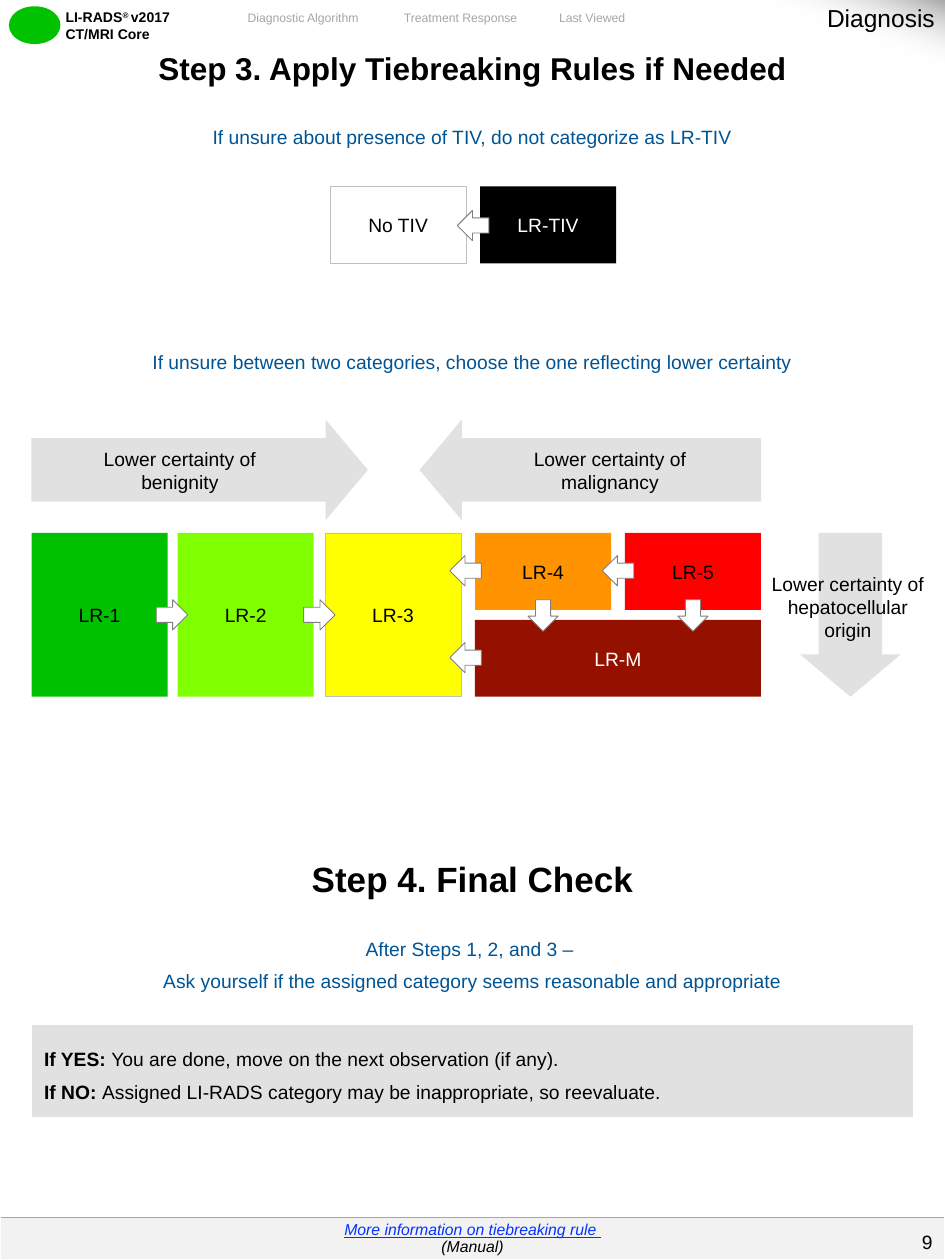
"""Build the tiebreaking-rules and final-check page of the LI-RADS core guide."""
from lxml import etree
from pptx import Presentation
from pptx.dml.color import RGBColor
from pptx.enum import shapes as sh, text as tx
from pptx.oxml.ns import qn
from pptx.util import Inches, Pt

THEME = dict(
    font="Arial", black="000000", white="FFFFFF", blue="005493", link="0432FF",
    grey="E1E1E1", footer="F2F2F2", muted="A6A6A6", edge="BFBFBF", outline="808080", logo="00C200",
    nav=7, brand=8, note=9, body=11, section=14, step=18, final=20,
)
T = THEME
LEFT, CENTER, RIGHT = tx.PP_ALIGN.LEFT, tx.PP_ALIGN.CENTER, tx.PP_ALIGN.RIGHT
TOP, MIDDLE = tx.MSO_ANCHOR.TOP, tx.MSO_ANCHOR.MIDDLE
SHAPE = sh.MSO_SHAPE

SECTION = "Diagnosis"
BRAND = [[("LI-RADS", True), ("® ", True), ("v2017", True)], [("CT/MRI Core", True)]]
NAV = [
    ("Diagnostic Algorithm", 1.83, 1.15),
    ("Treatment Response", 3.08, 1.15),
    ("Last Viewed", 4.32, 0.76),
]
STEPS = [
    dict(height=0.45, paragraphs=["Step 3. Apply Tiebreaking Rules if Needed"], size=T["step"],
         bold=True, margins=(0.1, 0, 0.1, 0.15)),
    dict(height=5.19, paragraphs=["If unsure about presence of TIV, do not categorize as LR-TIV",
         "If unsure between two categories, choose the one reflecting lower certainty"],
         color=T["blue"], spacing=1.5, gap=110, margins=(0, 0, 0, 3)),
    dict(height=1.33, paragraphs=["Step 4. Final Check"], size=T["final"], bold=True,
         anchor=TOP, margins=(0, 0.79, 0, 0.2)),
    dict(height=0.76, paragraphs=["After Steps 1, 2, and 3 – ",
         "Ask yourself if the assigned category seems reasonable and appropriate"],
         color=T["blue"], spacing=1.5, anchor=TOP, margins=(0, 0, 0, 0.2)),
    dict(height=0.74, paragraphs=[
         [("If YES: ", True), ("You are done, move on the next observation (if any).", False)],
         [("If NO: ", True), ("Assigned LI-RADS category may be inappropriate, so reevaluate.", False)]],
         align=LEFT, spacing=1.5, fill=T["grey"], margins=(0.1, 0.1, 0, 0.1)),
]
FOOTER = ["More information on tiebreaking rule ", "(Manual)"]
PAGE = "9"
WIDTH, TALL, SHORT = 1.08, 1.3, 0.61
CATEGORIES = [
    ("No TIV", 2.62, 1.48, WIDTH, SHORT, T["white"], T["black"], T["edge"]),
    ("LR-TIV", 3.81, 1.48, WIDTH, SHORT, T["black"], T["white"], None),
    ("LR-M", 3.77, 4.92, 2.27, SHORT, "941100", T["white"], None),
    ("LR-1", 0.25, 4.23, WIDTH, TALL, "00C100", T["black"], None),
    ("LR-2", 1.41, 4.23, WIDTH, TALL, "80FF00", T["black"], None),
    ("LR-3", 2.58, 4.23, WIDTH, TALL, "FFFF00", T["black"], T["edge"]),
    ("LR-4", 3.77, 4.23, WIDTH, SHORT, "FF9300", T["black"], None),
    ("LR-5", 4.96, 4.23, WIDTH, SHORT, "FF0000", T["black"], None),
]
MOVES = [
    (SHAPE.LEFT_ARROW, 0.25, 0.24, [(3.63, 1.67), (3.57, 4.41), (3.57, 5.1), (4.78, 4.41)]),
    (SHAPE.RIGHT_ARROW, 0.25, 0.24, [(1.24, 4.76), (2.41, 4.76)]),
    (SHAPE.DOWN_ARROW, 0.24, 0.25, [(4.19, 4.76), (5.38, 4.76)]),
]
CERTAINTY = [
    (SHAPE.RIGHT_ARROW, (0.25, 3.33, 2.67, 0.8), ["Lower certainty of", "benignity"], (0.1, 0.05, 0.2, 0.05)),
    (SHAPE.LEFT_ARROW, (3.33, 3.33, 2.71, 0.8), ["Lower certainty of", "malignancy"], (0.2, 0.05, 0.1, 0.05)),
    (SHAPE.DOWN_ARROW, (6.35, 4.23, 0.8, 1.3), [], (0, 0, 0, 0)),
]
ORIGIN = ["Lower certainty of", "hepatocellular", "origin"]


def rgb(color):
    return RGBColor.from_string(color)


def place(*lengths):
    return [Inches(length) for length in lengths]


def set_margins(holder, margins):
    holder.margin_left, holder.margin_top, holder.margin_right, holder.margin_bottom = place(*margins)


def write(frame, paragraphs, size=T["body"], color=T["black"], bold=False, align=CENTER, spacing=None, gap=0):
    for index, content in enumerate(paragraphs):
        paragraph = frame.add_paragraph() if index else frame.paragraphs[0]
        paragraph.alignment = align
        if spacing:
            paragraph.line_spacing = spacing
        if index and gap:
            paragraph.space_before = Pt(gap)
        for words, strong in [(content, bold)] if isinstance(content, str) else content:
            run = paragraph.add_run()
            run.text = words
            run.font.name, run.font.size, run.font.bold = T["font"], Pt(size), strong
            run.font.color.rgb = rgb(color)


def add_label(slide, box, paragraphs, anchor=MIDDLE, margins=(0.1, 0.05, 0.1, 0.05), **style):
    label = slide.shapes.add_textbox(*place(*box))
    label.text_frame.word_wrap = True
    label.text_frame.vertical_anchor = anchor
    set_margins(label.text_frame, margins)
    write(label.text_frame, paragraphs, **style)
    return label


def add_block(slide, kind, box, fill, line=None, weight=0.25):
    block = slide.shapes.add_shape(kind, *place(*box))
    block.shadow.inherit = False
    block.fill.solid()
    block.fill.fore_color.rgb = rgb(fill)
    if line:
        block.line.color.rgb, block.line.width = rgb(line), Pt(weight)
    else:
        block.line.fill.background()
    block.text_frame.vertical_anchor = MIDDLE
    return block


def add_rows(slide, left, top, width, rows):
    grid = slide.shapes.add_table(len(rows), 1, *place(left, top, width, sum(r["height"] for r in rows))).table
    grid.first_row = grid.horz_banding = False
    for index, row in enumerate(rows):
        style = dict(row)
        grid.rows[index].height = Inches(style.pop("height"))
        cell = grid.cell(index, 0)
        cell.fill.solid()
        cell.fill.fore_color.rgb = rgb(style.pop("fill", T["white"]))
        cell.vertical_anchor = style.pop("anchor", MIDDLE)
        set_margins(cell, style.pop("margins"))
        write(cell.text_frame, **style)
    return grid


def add_header(slide):
    corner = add_block(slide, SHAPE.RIGHT_TRIANGLE, (5.99, 0, 1.51, 0.55), T["white"])
    corner.rotation = 180
    corner.fill.gradient()
    corner.fill.gradient_angle = 70
    for stop, position, color in zip(corner.fill.gradient_stops, (0, 0.5), (T["muted"], T["white"])):
        stop.position, stop.color.rgb = position, rgb(color)
    clear = list(corner.element.iter(qn("a:srgbClr")))[-1]
    etree.SubElement(clear, qn("a:alpha")).set("val", "0")

    section = slide.shapes.title
    section.left, section.top, section.width, section.height = place(5.42, -0.03, 2.1, 0.34)
    section.text_frame.vertical_anchor = TOP
    section.text_frame.auto_size = tx.MSO_AUTO_SIZE.NONE
    write(section.text_frame, [SECTION], size=T["section"], align=RIGHT)
    slide.shapes.element.append(section.element)

    add_block(slide, SHAPE.OVAL, (0.07, 0.05, 0.41, 0.3), T["logo"])
    brand = add_label(slide, (0.45, 0.03, 1.29, 0.34), BRAND, anchor=TOP,
                      margins=(0.07, 0.04, 0.07, 0.04), size=T["brand"], align=LEFT)
    list(brand.element.iter(qn("a:rPr")))[1].set("baseline", "30000")
    for words, left, width in NAV:
        add_label(slide, (left, 0.03, width, 0.22), [words], margins=(0, 0, 0, 0),
                  size=T["nav"], color=T["muted"])


def add_footer(slide):
    footer = add_rows(slide, 0, 9.66, 7.5, [dict(
        height=0.34, paragraphs=FOOTER, size=T["note"], fill=T["footer"], margins=(0.1, 0.02, 0.1, 0.02))])
    cell = footer.cell(0, 0)
    more, manual = [paragraph.runs[0].font for paragraph in cell.text_frame.paragraphs]
    more.italic = manual.italic = more.underline = True
    more.color.rgb = rgb(T["link"])
    border = etree.Element(qn("a:lnT"), w=str(Pt(0.25)))
    ink = etree.SubElement(etree.SubElement(border, qn("a:solidFill")), qn("a:srgbClr"))
    ink.set("val", T["muted"])
    next(footer.cell(0, 0).text_frame._txBody.getparent().iter(qn("a:tcPr"))).insert(0, border)
    add_label(slide, (7.01, 9.71, 0.49, 0.29), [PAGE], align=RIGHT)


def add_diagram(slide):
    for name, left, top, width, height, fill, ink, line in CATEGORIES:
        category = add_block(slide, SHAPE.RECTANGLE, (left, top, width, height), fill, line)
        write(category.text_frame, [name], color=ink)
    for kind, width, height, corners in MOVES:
        for left, top in corners:
            add_block(slide, kind, (left, top, width, height), T["white"], T["outline"], 0.5)
    for kind, box, words, margins in CERTAINTY:
        arrow = add_block(slide, kind, box, T["grey"])
        arrow.adjustments[0], arrow.adjustments[1] = 0.63, 0.42
        set_margins(arrow.text_frame, margins)
        write(arrow.text_frame, words)
    add_label(slide, (6.03, 4.35, 1.4, 0.93), ORIGIN, margins=(0, 0, 0, 0))


def main():
    deck = Presentation()
    deck.slide_width, deck.slide_height = place(7.5, 10)
    slide = deck.slides.add_slide(deck.slide_layouts[5])
    add_rows(slide, 0.25, 0.4, 7, STEPS)
    add_header(slide)
    add_footer(slide)
    add_diagram(slide)
    deck.save("out.pptx")


if __name__ == "__main__":
    main()
